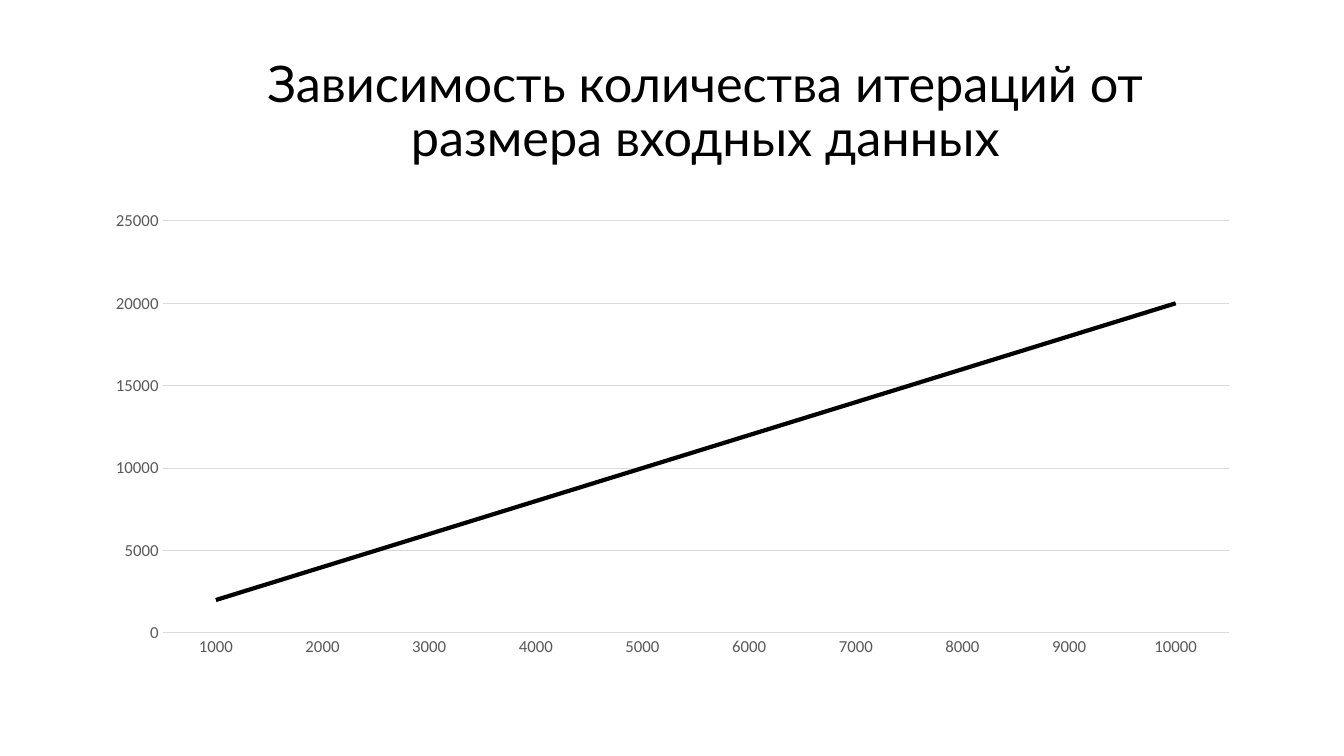
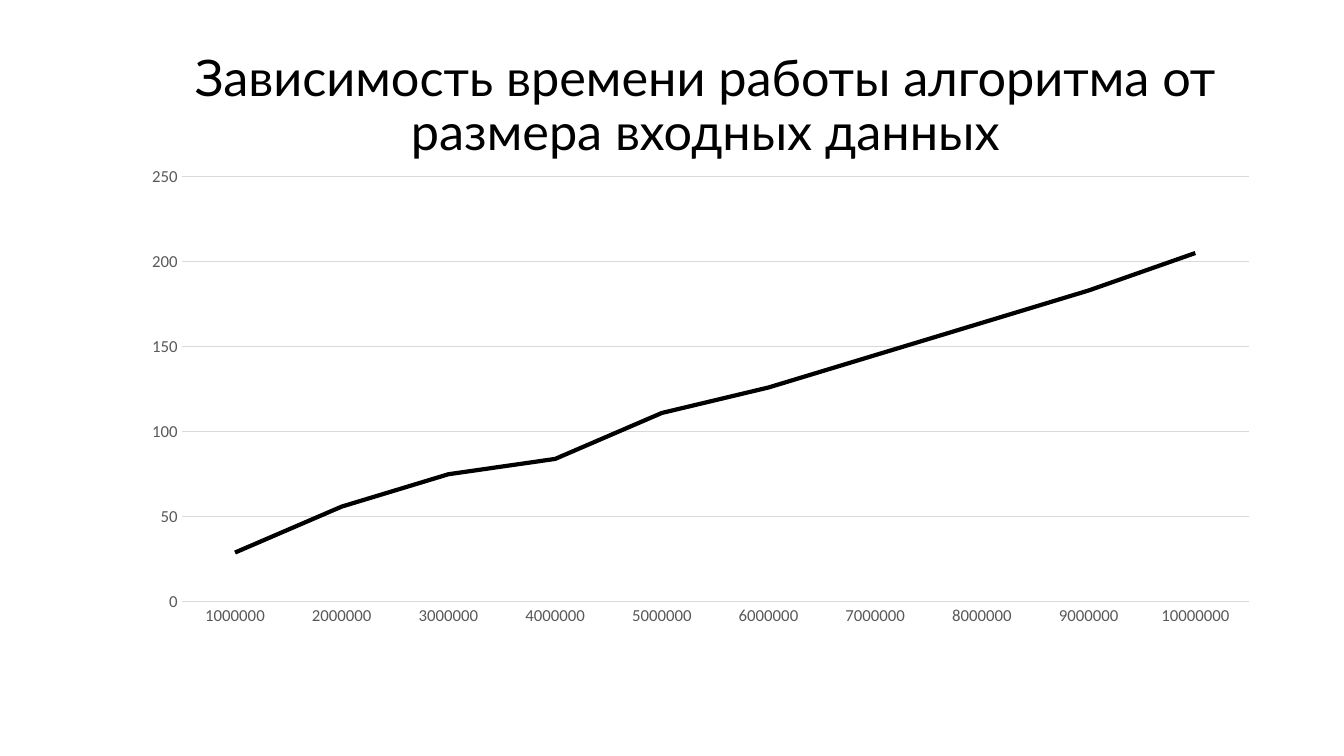
from lxml import etree
from pptx import Presentation
from pptx.chart.data import CategoryChartData
from pptx.dml.color import RGBColor
from pptx.enum.chart import XL_CHART_TYPE, XL_TICK_MARK
from pptx.enum.text import MSO_ANCHOR, PP_ALIGN
from pptx.oxml.ns import qn
from pptx.util import Inches, Pt

LINE_CHART = XL_CHART_TYPE.LINE
NO_TICK = XL_TICK_MARK.NONE
MIDDLE = MSO_ANCHOR.MIDDLE
CENTER = PP_ALIGN.CENTER

BLACK, WHITE, GRAY, GRID = "000000", "FFFFFF", "595959", "D9D9D9"
TITLE_FONT = {"name": "Lato", "size": Pt(36)}
CHART_FONT = {"name": "Calibri", "size": Pt(10)}
AXIS_FONT = {"name": "Calibri", "size": Pt(12)}


def rgb(value):
    """Turn a hex string into a colour."""
    return RGBColor.from_string(value)


def set_font(font, style, color):
    """Apply a dict of font values and a colour."""
    for name, value in style.items():
        setattr(font, name, value)
    font.color.rgb = rgb(color)


SLIDES = [
    {
        "title": "Зависимость количества итераций от размера входных данных",
        "title_at": (1.57, 0.4, 10.85, 1.45),
        "chart_at": (0.92, 2, 11.5, 4.61),
        "step": 1000,
        "values": [2000 * n for n in range(1, 11)],
        "major": 5000,
        "axis_line": WHITE,
        "plot": None,
    },
    {
        "title": "Зависимость времени работы алгоритма от размера входных данных",
        "title_at": (1.55, 0.52, 10.89, 1.09),
        "chart_at": (1.34, 1.61, 11.27, 4.88),
        "step": 1000000,
        "values": [29, 56, 75, 84, 111, 126, 145, 164, 183, 205],
        "major": 50,
        "axis_line": None,
        "plot": {"x": 0.041, "y": 0.029, "w": 0.939, "h": 0.865},
    },
]

prs = Presentation()
prs.slide_width, prs.slide_height = Inches(13.33), Inches(7.5)

for content in SLIDES:
    s = prs.slides.add_slide(prs.slide_layouts[6])

    # Title
    tf = s.shapes.add_textbox(*map(Inches, content["title_at"])).text_frame
    tf.word_wrap = True
    tf.vertical_anchor = MIDDLE
    p = tf.paragraphs[0]
    p.alignment = CENTER
    p.line_spacing = 0.9
    r = p.add_run()
    r.text = content["title"]
    set_font(r.font, TITLE_FONT, BLACK)

    # Line chart
    data = CategoryChartData()
    data.categories = [str(content["step"] * n) for n in range(1, 11)]
    data.add_series("Series 1", content["values"])
    chart = s.shapes.add_chart(
        LINE_CHART, *map(Inches, content["chart_at"]), data).chart
    chart.has_legend = False
    chart.has_title = False
    set_font(chart.font, CHART_FONT, BLACK)
    chart.plots[0].vary_by_categories = False

    series = chart.plots[0].series[0]
    series.smooth = False
    series.format.line.width = Pt(3)
    series.format.line.color.rgb = rgb(BLACK)

    # Axes
    value_axis = chart.value_axis
    value_axis.minimum_scale = 0
    value_axis.maximum_scale = 5 * content["major"]
    value_axis.major_unit = content["major"]
    value_axis.has_major_gridlines = True
    gridline = value_axis.major_gridlines.format.line
    gridline.width = Pt(0.75)
    gridline.color.rgb = rgb(GRID)
    for axis, color in ((chart.category_axis, GRID),
                        (value_axis, content["axis_line"])):
        axis.major_tick_mark = axis.minor_tick_mark = NO_TICK
        set_font(axis.tick_labels.font, AXIS_FONT, GRAY)
        if color:
            axis.format.line.width = Pt(0.75)
            axis.format.line.color.rgb = rgb(color)
        else:
            axis.format.line.fill.background()

    # Fixed inner plot area
    if content["plot"]:
        plot_area = chart.plots[0]._element.getparent()
        for old in plot_area.findall(qn("c:layout")):
            plot_area.remove(old)
        layout = etree.Element(qn("c:layout"))
        manual = etree.SubElement(layout, qn("c:manualLayout"))
        settings = {"layoutTarget": "inner", "xMode": "edge",
                    "yMode": "edge", **content["plot"]}
        for name, value in settings.items():
            etree.SubElement(manual, qn("c:" + name), val=str(value))
        plot_area.insert(0, layout)

prs.save("out.pptx")
